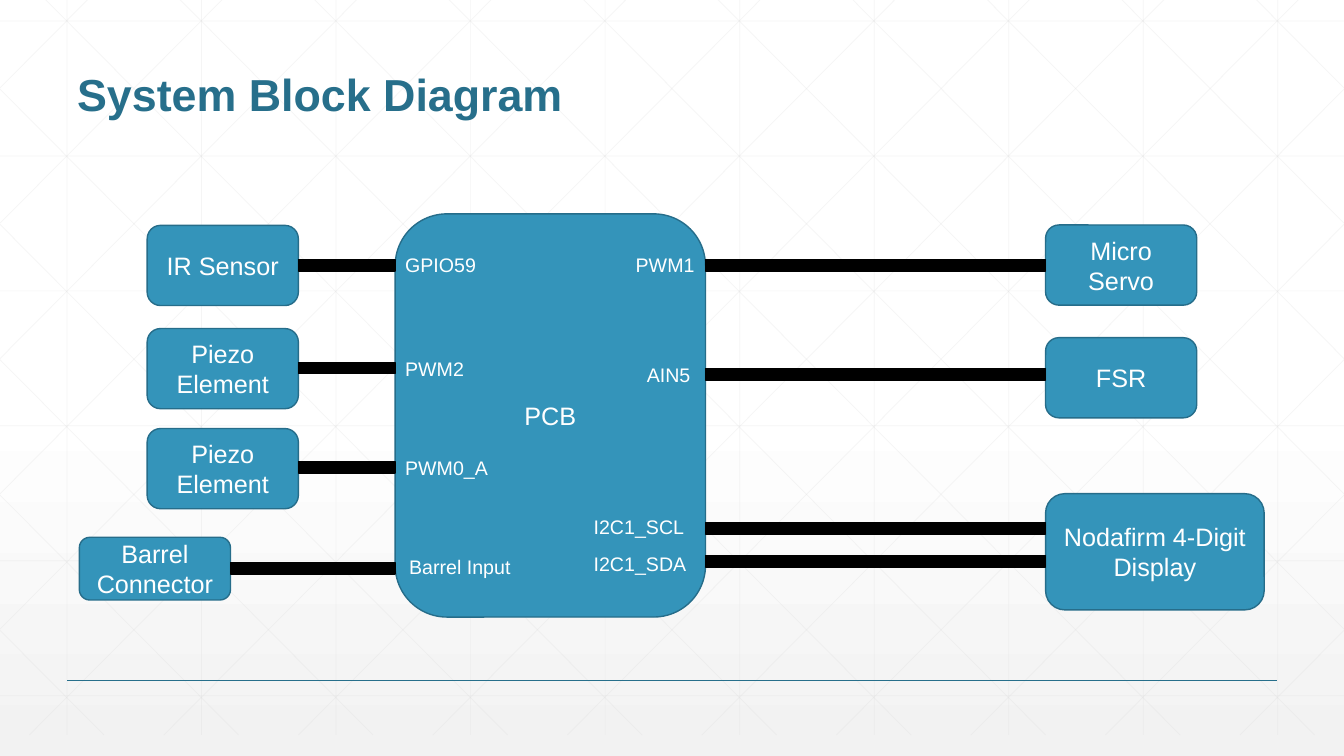
"""Build the System Block Diagram slide."""
from dataclasses import dataclass

import lxml.etree
import pptx
import pptx.dml.color
import pptx.enum.shapes
import pptx.enum.text
import pptx.oxml.ns
import pptx.util

Cm = pptx.util.Cm
Pt = pptx.util.Pt
qn = pptx.oxml.ns.qn
ANCHOR = pptx.enum.text.MSO_ANCHOR
ALIGN = pptx.enum.text.PP_ALIGN
SHAPE = pptx.enum.shapes.MSO_SHAPE

COLORS = {
    "title": "276F8B",
    "block": "3494BA",
    "edge": "266D8A",
    "wire": "000000",
    "text": "FFFFFF",
    "grid": "D9D9D9",
    "top": "FFFFFF",
    "bottom": "F2F2F2",
}
PAGE_WIDTH, PAGE_HEIGHT = 33.87, 19.05
GRID_TOP, GRID_BOTTOM, GRID_STEP = -0.53, 18.52, 3.39
PCB_LEFT, PCB_RIGHT = 9.96, 17.78
SENSOR_LEFT, OUTPUT_LEFT = 3.71, 26.35
BLOCK_WIDTH, BLOCK_HEIGHT = 3.81, 2.02
SENSOR_RIGHT = SENSOR_LEFT + BLOCK_WIDTH
BARREL_LEFT = 2.0


@dataclass(frozen=True)
class Block:
    """A rounded component box, in centimetres."""
    text: str
    left: float
    top: float
    width: float = BLOCK_WIDTH
    height: float = BLOCK_HEIGHT


@dataclass(frozen=True)
class Wire:
    """A thick bar between two components, in centimetres."""
    start: float
    end: float
    top: float


@dataclass(frozen=True)
class Pin:
    """A pin name inside the PCB, in centimetres."""
    text: str
    left: float
    top: float
    width: float = 3.1


BLOCKS = [
    Block("PCB", PCB_LEFT, 5.39, PCB_RIGHT - PCB_LEFT, 10.16),
    Block("Barrel Connector", BARREL_LEFT, 13.54, height=1.58),
    Block("IR Sensor", SENSOR_LEFT, 5.68),
    Block("Piezo Element", SENSOR_LEFT, 8.28),
    Block("Piezo Element", SENSOR_LEFT, 10.8),
    Block("Micro Servo", OUTPUT_LEFT, 5.67),
    Block("FSR", OUTPUT_LEFT, 8.51),
    Block("Nodafirm 4-Digit Display", OUTPUT_LEFT, 12.44, 5.51, 2.93),
]
WIRES = [
    *(Wire(SENSOR_RIGHT, PCB_LEFT, top) for top in (6.54, 9.13, 11.63)),
    Wire(BARREL_LEFT + BLOCK_WIDTH, PCB_LEFT, 14.18),
    *(Wire(PCB_RIGHT, OUTPUT_LEFT, top) for top in (6.54, 9.29, 13.17, 14.0)),
]
PINS = [
    Pin("GPIO59", PCB_LEFT, 6.25),
    Pin("PWM2", PCB_LEFT, 8.86),
    Pin("PWM0_A", PCB_LEFT, 11.37),
    Pin("Barrel Input", 10.06, 13.87),
    Pin("PWM1", 15.77, 6.25, 2.01),
    Pin("AIN5", 16.05, 9.03, 2.11),
    Pin("I2C1_SCL", 14.71, 12.85),
    Pin("I2C1_SDA", 14.71, 13.79),
]


def rgb(name: str) -> pptx.dml.color.RGBColor:
    """Look up a named colour."""
    return pptx.dml.color.RGBColor.from_string(COLORS[name])


def write(frame, text: str, *, size: float, color: str = "text", bold: bool = False,
          align=ALIGN.LEFT, anchor=ANCHOR.TOP, spacing: float = 1.0) -> None:
    """Put one formatted paragraph in a text frame."""
    frame.word_wrap = True
    frame.auto_size = pptx.enum.text.MSO_AUTO_SIZE.NONE
    frame.vertical_anchor = anchor
    para = frame.paragraphs[0]
    para.alignment = align
    para.line_spacing = spacing
    span = para.add_run()
    span.text = text
    span.font.name = "Arial"
    span.font.size = Pt(size)
    span.font.bold = bold
    span.font.color.rgb = rgb(color)


def draw_line(shapes, x1: float, y1: float, x2: float, y2: float, *,
              color: str, width: float, opacity: int = 100) -> None:
    """Draw a straight line without a shadow."""
    line = shapes.add_connector(pptx.enum.shapes.MSO_CONNECTOR.STRAIGHT,
                                Cm(x1), Cm(y1), Cm(x2), Cm(y2))
    line.line.color.rgb = rgb(color)
    line.line.width = Pt(width)
    properties = line.element.spPr
    if opacity < 100:
        tint = properties.find(".//" + qn("a:srgbClr"))
        lxml.etree.SubElement(tint, qn("a:alpha"), val=str(opacity * 1000))
    lxml.etree.SubElement(properties, qn("a:effectLst"))


def draw_box(page, kind, left: float, top: float, width: float, height: float, *,
             fill: str, edge: str):
    """Draw a filled shape with a thin outline."""
    box = page.shapes.add_shape(kind, Cm(left), Cm(top), Cm(width), Cm(height))
    box.shadow.inherit = False
    box.fill.solid()
    box.fill.fore_color.rgb = rgb(fill)
    box.line.color.rgb = rgb(edge)
    box.line.width = Pt(1)
    return box


def draw_background(page) -> None:
    """Fade the page from white to light grey."""
    fill = page.background.fill
    fill.gradient()
    fill.gradient_angle = 270
    stops = page.element.find(".//" + qn("a:gsLst"))
    for stop in list(stops):
        stops.remove(stop)
    for position, name, opacity in ((0, "top", 100), (53, "top", 100), (100, "bottom", 65)):
        stop = lxml.etree.SubElement(stops, qn("a:gs"), pos=str(position * 1000))
        tint = lxml.etree.SubElement(stop, qn("a:srgbClr"), val=COLORS[name])
        if opacity < 100:
            lxml.etree.SubElement(tint, qn("a:alpha"), val=str(opacity * 1000))


def draw_grid(page) -> None:
    """Draw the faint square grid and its mirrored diagonals."""
    shapes = page.shapes.add_group_shape().shapes
    style = {"color": "grid", "width": 0.5, "opacity": 25}
    for column in range(10):
        x = 1.69 + column * GRID_STEP
        draw_line(shapes, x, GRID_TOP, x, GRID_BOTTOM, **style)
    for row in range(6):
        y = 0.53 + row * 3.4
        draw_line(shapes, 0, y, PAGE_WIDTH, y, **style)
    run = 18.94
    slope = (GRID_BOTTOM - GRID_TOP) / run
    for column in range(-5, 10):
        x = 0.63 + column * GRID_STEP
        start, end = max(x, 0), min(x + run, PAGE_WIDTH)
        y1, y2 = (GRID_TOP + (edge - x) * slope for edge in (start, end))
        draw_line(shapes, start, y1, end, y2, **style)
        draw_line(shapes, PAGE_WIDTH - start, y1, PAGE_WIDTH - end, y2, **style)


def draw_title(page, text: str) -> None:
    """Move the title placeholder in front of the grid and format it."""
    title = page.shapes.title
    title.element.getparent().append(title.element)
    title.left, title.top, title.width, title.height = Cm(1.69), Cm(0.64), Cm(30.48), Cm(2.54)
    write(title.text_frame, text, size=32, color="title", bold=True,
          anchor=ANCHOR.BOTTOM, spacing=0.9)


def main() -> None:
    """Assemble and save the deck."""
    deck = pptx.Presentation()
    deck.slide_width, deck.slide_height = Cm(PAGE_WIDTH), Cm(PAGE_HEIGHT)
    page = deck.slides.add_slide(deck.slide_layouts.get_by_name("Title Only"))
    draw_background(page)
    draw_grid(page)
    draw_line(page.shapes, 1.69, 17.15, 32.17, 17.15, color="title", width=1)
    draw_title(page, "System Block Diagram")
    for block in BLOCKS:
        box = draw_box(page, SHAPE.ROUNDED_RECTANGLE, block.left, block.top,
                       block.width, block.height, fill="block", edge="edge")
        write(box.text_frame, block.text, size=18, align=ALIGN.CENTER, anchor=ANCHOR.MIDDLE)
    for wire in WIRES:
        draw_box(page, SHAPE.RECTANGLE, wire.start, wire.top, wire.end - wire.start, 0.29,
                 fill="wire", edge="wire")
    for pin in PINS:
        box = page.shapes.add_textbox(Cm(pin.left), Cm(pin.top), Cm(pin.width), Cm(0.86))
        write(box.text_frame, pin.text, size=14)
    deck.save("out.pptx")


main()
